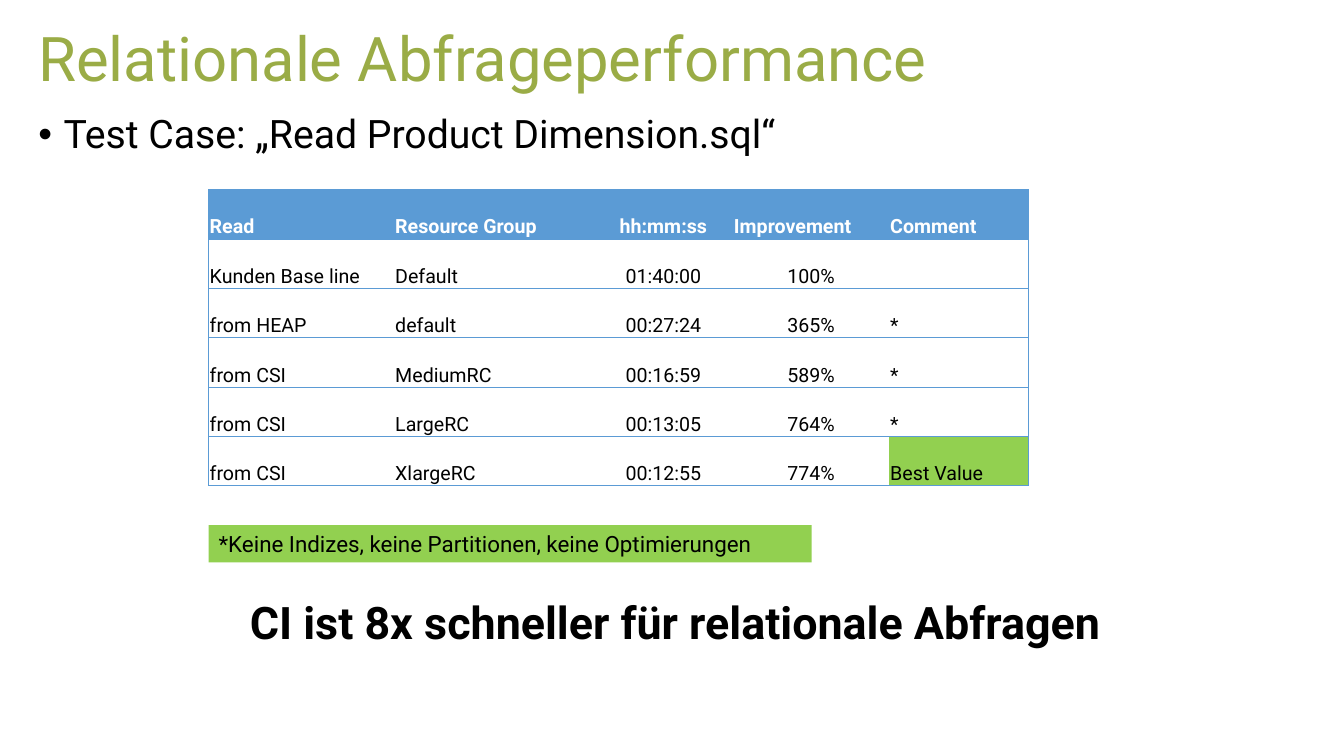
from dataclasses import dataclass

import pptx
import pptx.dml.color
import pptx.enum.shapes
import pptx.enum.text
import pptx.oxml
import pptx.oxml.ns
import pptx.util
from pptx.util import Inches

RGBColor = pptx.dml.color.RGBColor
ALIGN = pptx.enum.text.PP_ALIGN
ANCHOR = pptx.enum.text.MSO_ANCHOR

OLIVE = RGBColor(0x9A, 0xAC, 0x46)
BLUE = RGBColor(0x5B, 0x9B, 0xD5)
GREEN = RGBColor(0x92, 0xD0, 0x50)
BLACK = RGBColor(0, 0, 0)
WHITE = RGBColor(0xFF, 0xFF, 0xFF)
FONT = "Roboto"
PLAIN_STYLE = "{2D5ABB26-0587-4C30-8999-92F81FD0307C}"
BEST = "Best Value"
ROW_HEIGHT = 0.49


@dataclass
class Column:
    head: str
    width: float
    values: list[str]
    head_align: ALIGN = ALIGN.LEFT
    align: ALIGN = ALIGN.LEFT


COLUMNS = [
    Column("Read", 1.84,
           ["Kunden Base line", "from HEAP", "from CSI", "from CSI", "from CSI"]),
    Column("Resource Group", 1.98,
           ["Default", "default", "MediumRC", "LargeRC", "XlargeRC"]),
    Column("hh:mm:ss", 1.38,
           ["01:40:00", "00:27:24", "00:16:59", "00:13:05", "00:12:55"],
           ALIGN.CENTER, ALIGN.CENTER),
    Column("Improvement", 1.55,
           ["100%", "365%", "589%", "764%", "774%"], align=ALIGN.CENTER),
    Column("Comment", 1.38, ["", "*", "*", "*", BEST]),
]


def place(shape, left: float, top: float, width: float, height: float) -> None:
    shape.left, shape.top = Inches(left), Inches(top)
    shape.width, shape.height = Inches(width), Inches(height)


def write(frame, text: str, size: int, color: RGBColor, bold: bool = False,
          align: ALIGN = ALIGN.LEFT, spacing: float = 1.0):
    frame.word_wrap = True
    par = frame.paragraphs[0]
    par.text = text
    par.alignment = align
    par.line_spacing = spacing
    par.space_before = pptx.util.Pt(0)
    par.font.name = FONT
    par.font.size = pptx.util.Pt(size)
    par.font.bold = bold
    par.font.color.rgb = color
    return par


def add_bullet(par, indent: float) -> None:
    props = par._p.get_or_add_pPr()
    props.set("marL", str(Inches(indent)))
    props.set("indent", str(-Inches(indent)))
    mark = pptx.oxml.parse_xml(
        f'<a:buChar {pptx.oxml.ns.nsdecls("a")} char="•"/>')
    props.insert_element_before(mark, "a:tabLst", "a:defRPr", "a:extLst")


def add_borders(cell, sides: str) -> None:
    """Draw thin blue borders on the sides named by the letters L, R, T, B."""
    props = cell._tc.get_or_add_tcPr()
    for spot, side in enumerate(sides):
        props.insert(spot, pptx.oxml.parse_xml(
            f'<a:ln{side} {pptx.oxml.ns.nsdecls("a")} w="6350"><a:solidFill>'
            f'<a:srgbClr val="{BLUE}"/></a:solidFill></a:ln{side}>'))


def fill_cell(cell, text: str, align: ALIGN, is_head: bool, sides: str) -> None:
    cell.margin_left = cell.margin_right = cell.margin_top = Inches(0.01)
    cell.margin_bottom = 0
    cell.vertical_anchor = ANCHOR.BOTTOM
    write(cell.text_frame, text, 14, WHITE if is_head else BLACK, is_head, align)
    if is_head or text == BEST:
        cell.fill.solid()
        cell.fill.fore_color.rgb = BLUE if is_head else GREEN
    else:
        cell.fill.background()
    add_borders(cell, sides)


def add_results(slide) -> None:
    rows = len(COLUMNS[0].values) + 1
    total = sum(col.width for col in COLUMNS)
    table = slide.shapes.add_table(
        rows, len(COLUMNS), Inches(2.07), Inches(1.88),
        Inches(total), Inches(rows * ROW_HEIGHT)).table
    table.horz_banding = False
    table._tbl.tblPr.find(pptx.oxml.ns.qn("a:tableStyleId")).text = PLAIN_STYLE
    last = len(COLUMNS) - 1
    for x, col in enumerate(COLUMNS):
        table.columns[x].width = Inches(col.width)
        sides = {0: "LTB", last: "RTB"}.get(x, "TB")
        for y, text in enumerate([col.head, *col.values]):
            align = col.align if y else col.head_align
            fill_cell(table.cell(y, x), text, align, y == 0, sides)


def main() -> None:
    deck = pptx.Presentation()
    deck.slide_width, deck.slide_height = Inches(13.33), Inches(7.5)
    slide = deck.slides.add_slide(deck.slide_layouts[1])

    title, body = slide.placeholders
    place(title, 0.28, 0.12, 12.93, 0.98)
    title.text_frame.vertical_anchor = ANCHOR.MIDDLE
    write(title.text_frame, "Relationale Abfrageperformance", 44, OLIVE,
          spacing=0.9)
    place(body, 0.28, 1.09, 12.81, 4.24)
    case = write(body.text_frame, "Test Case: „Read Product Dimension.sql“",
                 28, BLACK, spacing=0.9)
    add_bullet(case, 0.25)

    add_results(slide)

    note = slide.shapes.add_shape(
        pptx.enum.shapes.MSO_SHAPE.RECTANGLE,
        Inches(2.07), Inches(5.21), Inches(5.98), Inches(0.37))
    note.shadow.inherit = False
    note.fill.solid()
    note.fill.fore_color.rgb = GREEN
    note.line.fill.background()
    note.text_frame.vertical_anchor = ANCHOR.TOP
    write(note.text_frame,
          "*Keine Indizes, keine Partitionen, keine Optimierungen", 16, BLACK)

    claim = slide.shapes.add_textbox(
        Inches(0.49), Inches(5.86), Inches(12.42), Inches(0.68))
    claim.text_frame.vertical_anchor = ANCHOR.MIDDLE
    write(claim.text_frame, "CI ist 8x schneller für relationale Abfragen",
          32, BLACK, True, ALIGN.CENTER, 0.9)

    deck.save("out.pptx")


if __name__ == "__main__":
    main()
